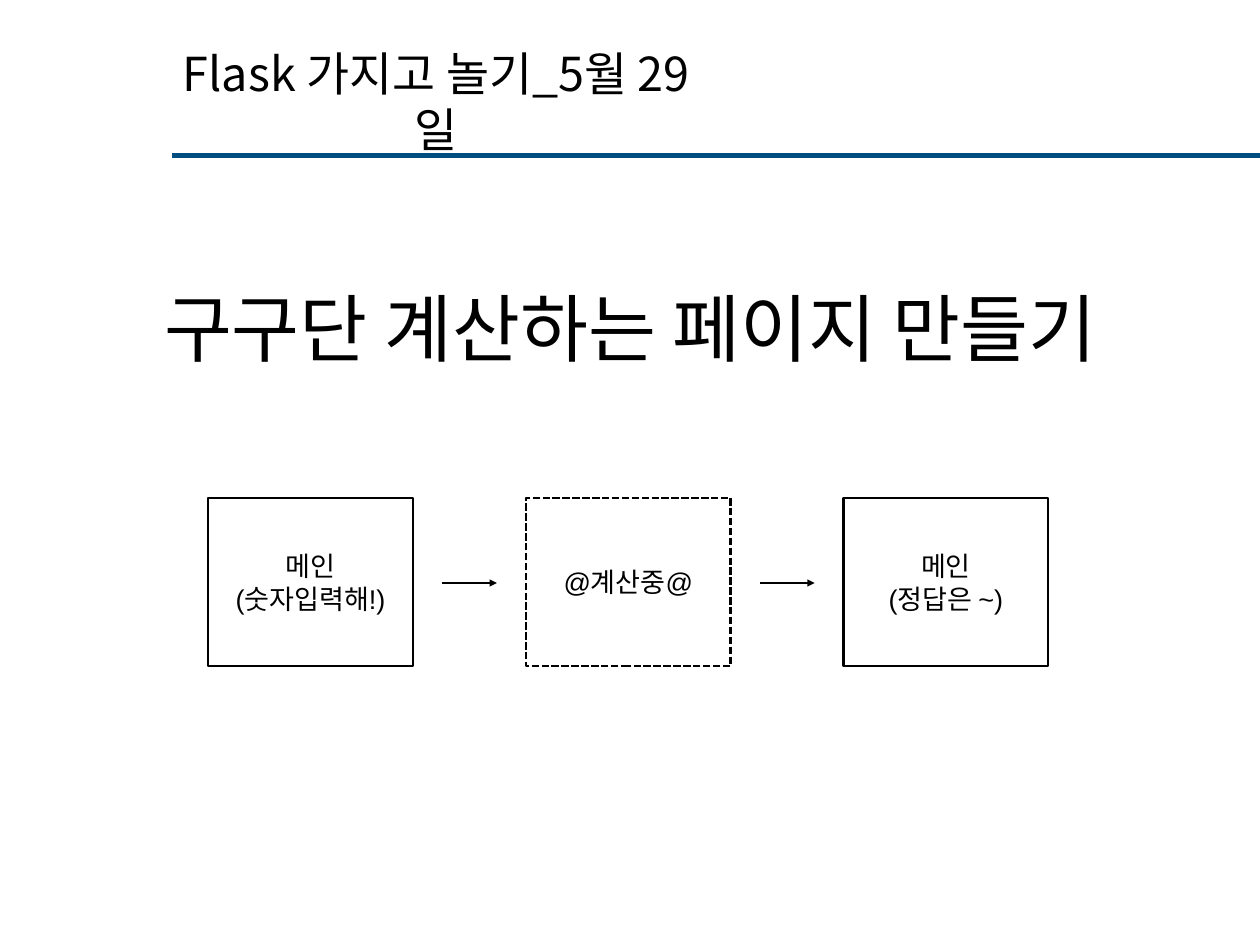
"""Build the slide about a Flask page that calculates multiplication tables."""
from dataclasses import dataclass

from lxml import etree
from pptx import Presentation
from pptx.dml.color import RGBColor
from pptx.enum.dml import MSO_LINE
from pptx.enum.shapes import MSO_CONNECTOR, MSO_SHAPE
from pptx.enum.text import MSO_ANCHOR, MSO_AUTO_SIZE, PP_ALIGN
from pptx.oxml.ns import qn
from pptx.slide import Slide
from pptx.text.text import TextFrame
from pptx.util import Pt

RECTANGLE = MSO_SHAPE.RECTANGLE
STRAIGHT = MSO_CONNECTOR.STRAIGHT
DASHED = MSO_LINE.SQUARE_DOT
CENTER = PP_ALIGN.CENTER
MIDDLE = MSO_ANCHOR.MIDDLE
GROW = MSO_AUTO_SIZE.SHAPE_TO_FIT_TEXT

COLORS = {"black": "000000", "white": "FFFFFF", "rule": "004D80"}
KOREAN_FONT = "Noto Sans CJK KR"
STEP_FONT = "Arial"
INSET = 4
STEP_LEFT, STEP_TOP, STEP_PITCH = 169.2, 404.6, 258.2
STEP_WIDTH, STEP_HEIGHT = 166.3, 136.8
ARROW_GAP, ARROW_LENGTH, ARROW_Y = 23.8, 44.6, 473.8


@dataclass(frozen=True)
class Heading:
    text: str
    left: float
    top: float
    width: float
    height: float
    size: float


@dataclass(frozen=True)
class Step:
    text: str
    dashed: bool = False


HEADINGS = [
    Heading("Flask 가지고 놀기_5월 29일", 136.8, 59, 435.6, 46.1, 38),
    Heading("구구단 계산하는 페이지 만들기", 104.4, 225.4, 815.8, 79.9, 60),
]
STEPS = [
    Step("메인\n(숫자입력해!)"),
    Step("@계산중@", dashed=True),
    Step("메인\n(정답은 ~)"),
]


def color(name: str) -> RGBColor:
    """Return a named colour."""
    return RGBColor.from_string(COLORS[name])


def write_text(text_frame: TextFrame, text: str, size: float, font_name: str) -> None:
    """Fill a text frame with centred black text."""
    text_frame.margin_left = text_frame.margin_right = Pt(INSET)
    text_frame.margin_top = text_frame.margin_bottom = Pt(INSET)
    text_frame.vertical_anchor = MIDDLE
    text_frame.text = text
    for paragraph in text_frame.paragraphs:
        paragraph.alignment = CENTER
        for run in paragraph.runs:
            run.font.name = font_name
            run.font.size = Pt(size)
            run.font.color.rgb = color("black")
            east_asian = etree.SubElement(run.font._element, qn("a:ea"))
            east_asian.set("typeface", KOREAN_FONT)


def add_heading(slide: Slide, heading: Heading) -> None:
    """Add an unwrapped heading that grows with its text."""
    shape = slide.shapes.add_textbox(
        Pt(heading.left), Pt(heading.top), Pt(heading.width), Pt(heading.height)
    )
    write_text(shape.text_frame, heading.text, heading.size, KOREAN_FONT)
    shape.text_frame.word_wrap = False
    shape.text_frame.auto_size = GROW


def add_step(slide: Slide, step: Step, left: float) -> None:
    """Add one page box of the flow."""
    shape = slide.shapes.add_shape(
        RECTANGLE, Pt(left), Pt(STEP_TOP), Pt(STEP_WIDTH), Pt(STEP_HEIGHT)
    )
    shape.shadow.inherit = False
    shape.fill.solid()
    shape.fill.fore_color.rgb = color("white")
    shape.line.color.rgb = color("black")
    shape.line.width = Pt(2)
    if step.dashed:
        shape.line.dash_style = DASHED
    write_text(shape.text_frame, step.text, 22, STEP_FONT)


def add_line(
    slide: Slide, left: float, right: float, y: float,
    color_name: str, width: float, arrow: bool = False,
) -> None:
    """Add a horizontal line, with an arrowhead on request."""
    connector = slide.shapes.add_connector(STRAIGHT, Pt(left), Pt(y), Pt(right), Pt(y))
    connector.line.color.rgb = color(color_name)
    connector.line.width = Pt(width)
    properties = connector._element.spPr
    etree.SubElement(properties, qn("a:effectLst"))
    if arrow:
        tail = etree.SubElement(properties.find(qn("a:ln")), qn("a:tailEnd"))
        tail.set("type", "triangle")


def main() -> None:
    """Build and save the presentation."""
    presentation = Presentation()
    presentation.slide_width = Pt(1024)
    presentation.slide_height = Pt(768)
    slide = presentation.slides.add_slide(presentation.slide_layouts[6])
    title, subject = HEADINGS
    add_heading(slide, title)
    add_line(slide, 139.7, 1028.9, 126.7, "rule", 4)
    add_heading(slide, subject)
    lefts = [STEP_LEFT + index * STEP_PITCH for index in range(len(STEPS))]
    for step, left in zip(STEPS, lefts):
        add_step(slide, step, left)
    for left in lefts[:-1]:
        start = left + STEP_WIDTH + ARROW_GAP
        add_line(slide, start, start + ARROW_LENGTH, ARROW_Y, "black", 2, arrow=True)
    presentation.save("out.pptx")


if __name__ == "__main__":
    main()
